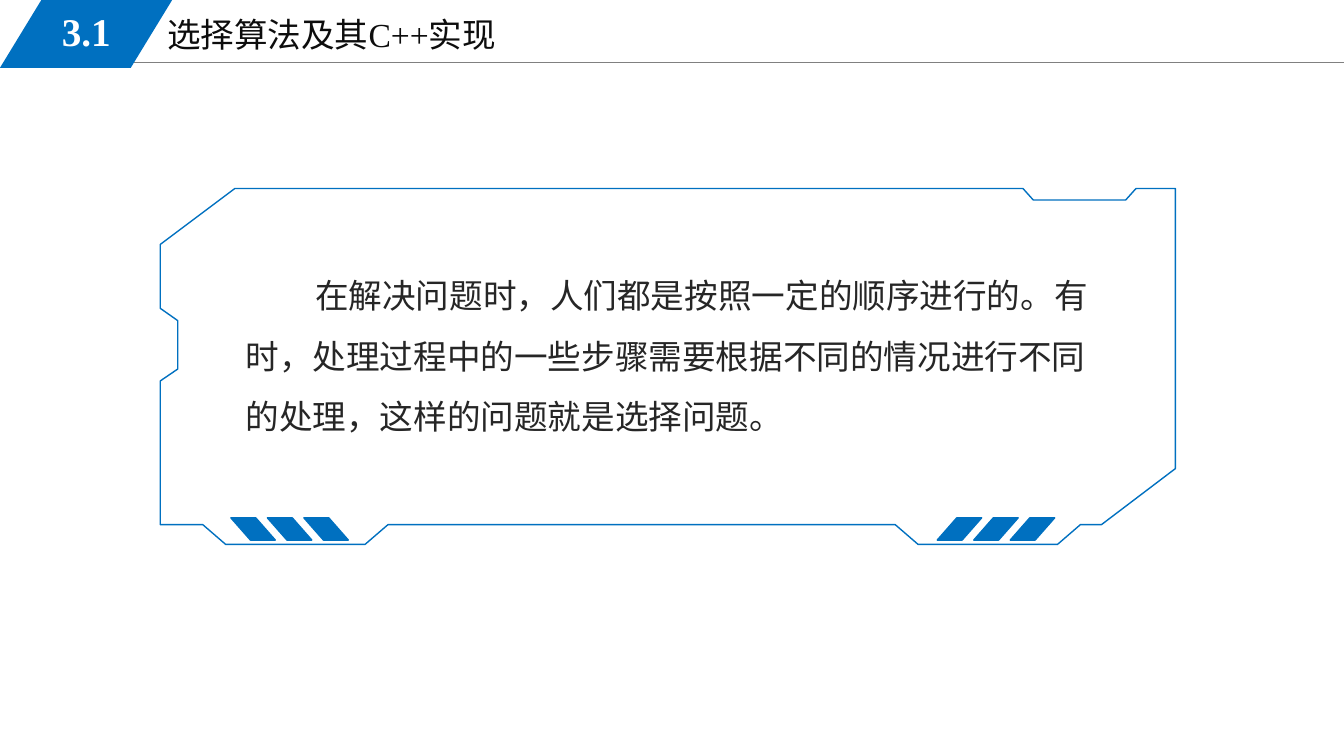
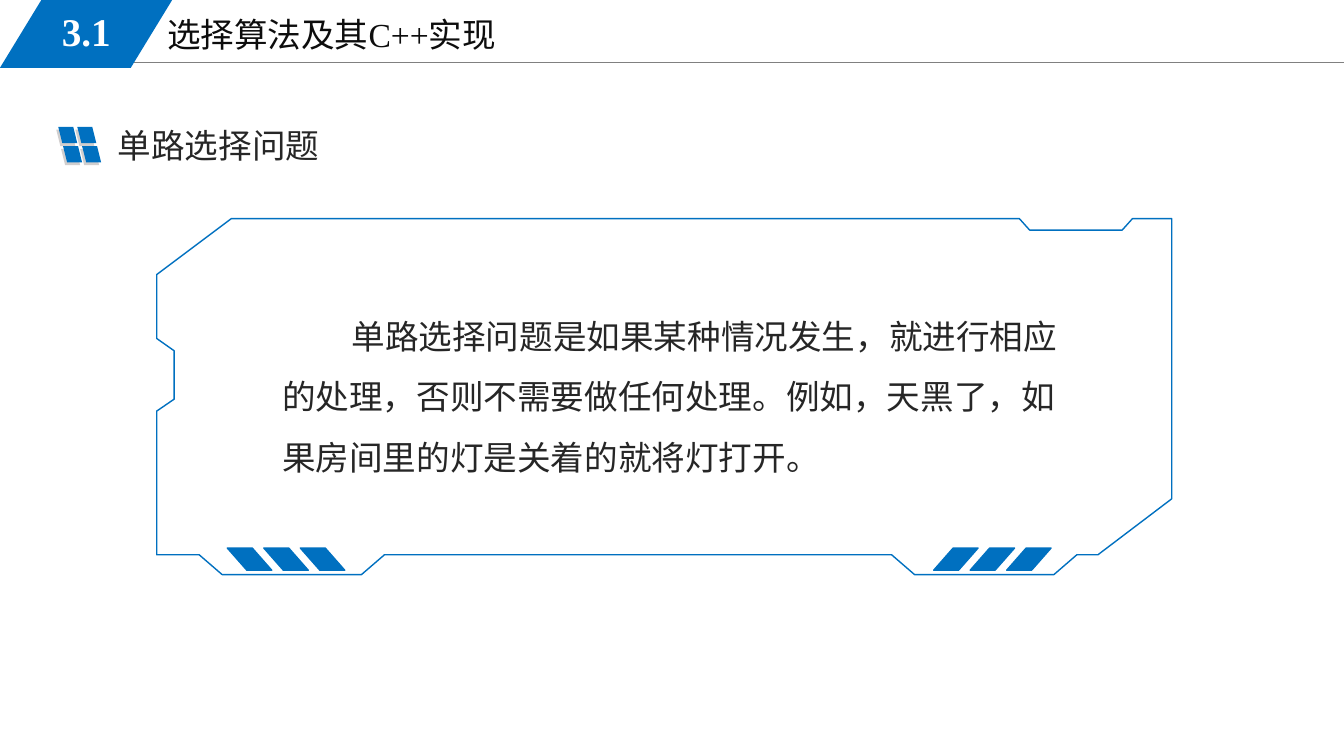
import lxml.etree
import pptx
import pptx.dml.color
import pptx.enum.shapes
import pptx.enum.text
import pptx.oxml.ns
import pptx.util

Cm = pptx.util.Cm
Pt = pptx.util.Pt
qn = pptx.oxml.ns.qn
PARALLELOGRAM = pptx.enum.shapes.MSO_SHAPE.PARALLELOGRAM

BLUE = "0070C0"
RULE_GREY = "808080"
PANE_GREY = "D0CECE"
TITLE_INK = "0D0D0D"
BODY_INK = "262626"
WHITE = "FFFFFF"
LATIN = "Times New Roman"
CHINESE = "Noto Sans CJK SC"
SLIDE_WIDTH, SLIDE_HEIGHT = 33.87, 19.05


def rgb(hex_colour):
    """Turn a hex string into a colour."""
    return pptx.dml.color.RGBColor.from_string(hex_colour)


def add_text(shapes, box, words, size, ink, typeface, bold=False, align=None,
             anchor=None, indent=0, line_spacing=None):
    """Place a wrapped text box holding one paragraph."""
    label = shapes.add_textbox(*map(Cm, box))
    frame = label.text_frame
    frame.word_wrap = True
    frame.auto_size = pptx.enum.text.MSO_AUTO_SIZE.SHAPE_TO_FIT_TEXT
    if anchor is not None:
        frame.vertical_anchor = anchor
    paragraph = frame.paragraphs[0]
    paragraph.text = words
    if align is not None:
        paragraph.alignment = align
    if line_spacing:
        paragraph.line_spacing = line_spacing
    if indent:
        properties = paragraph._p.get_or_add_pPr()
        properties.set("marL", "0")
        properties.set("indent", str(Cm(indent)))
    font = paragraph.font
    font.size = Pt(size)
    font.bold = bold
    font.color.rgb = rgb(ink)
    font.name = typeface
    east_asian = lxml.etree.SubElement(font._element, qn("a:ea"))
    east_asian.set("typeface", CHINESE)


def add_slant(shapes, box, colour, lean=0.25, mirrored=False, outlined=False):
    """Place a filled parallelogram, leaning left when mirrored."""
    slant = shapes.add_shape(PARALLELOGRAM, *map(Cm, box))
    slant.adjustments[0] = lean
    slant.shadow.inherit = False
    slant.fill.solid()
    slant.fill.fore_color.rgb = rgb(colour)
    if outlined:
        slant.line.color.rgb = rgb(colour)
        slant.line.width = Pt(1)
    else:
        slant.line.fill.background()
    if mirrored:
        slant._element.spPr.find(qn("a:xfrm")).set("flipH", "1")


def add_header(slide, number, title):
    """Draw the rule, the section title and the numbered tag."""
    rule = slide.shapes.add_connector(
        pptx.enum.shapes.MSO_CONNECTOR.STRAIGHT,
        Cm(2.87), Cm(1.57), Cm(SLIDE_WIDTH), Cm(1.57))
    rule.line.color.rgb = rgb(RULE_GREY)
    rule.line.width = Pt(0.75)
    lxml.etree.SubElement(rule._element.spPr, qn("a:effectLst"))
    add_text(slide.shapes, (3.96, 0.23, 14.4, 1.3), title, 24, TITLE_INK, LATIN)
    add_slant(slide.shapes, (0, 0, 4.34, 1.71), BLUE, lean=0.61)
    add_text(slide.shapes, (0.64, 0.05, 3.07, 1.47), number, 28, WHITE, LATIN,
             bold=True, align=pptx.enum.text.PP_ALIGN.CENTER,
             anchor=pptx.enum.text.MSO_ANCHOR.MIDDLE)


def add_heading(slide, left, top, words):
    """Draw a four-pane window icon with its heading."""
    shapes = slide.shapes.add_group_shape().shapes
    for colour, shift_x, shift_y in ((PANE_GREY, 0, 0.25), (BLUE, 0.05, 0.18)):
        for column in range(2):
            for row in range(2):
                x = left + shift_x + 0.48 * column + 0.12 * row
                y = top + shift_y + 0.48 * row
                add_slant(shapes, (x, y, 0.48, 0.41), colour, mirrored=True)
    add_text(shapes, (left + 1.3, top, 6.93, 1.27), words, 24, BODY_INK, CHINESE)


def add_frame(slide, left, top, width=25.58, height=8.97):
    """Draw the notched outline with three stripes in each lower tab."""
    shapes = slide.shapes.add_group_shape().shapes
    floor = height - 0.5
    outline = [
        (1.88, 0), (width - 3.84, 0), (width - 3.58, 0.29),
        (width - 1.25, 0.29), (width - 0.99, 0), (width, 0),
        (width, floor - 1.41), (width - 1.86, floor), (width - 2.39, floor),
        (width - 2.97, height), (width - 6.48, height), (width - 7.06, floor),
        (5.74, floor), (5.16, height), (1.65, height), (1.07, floor),
        (0, floor), (0, 4.85), (0.44, 4.55), (0.44, 3.33), (0, 3.02), (0, 1.41),
    ]
    corners = [(Cm(left + x), Cm(top + y)) for x, y in outline]
    builder = shapes.build_freeform(*corners[0])
    builder.add_line_segments(corners[1:], close=True)
    border = builder.convert_to_shape()
    border.shadow.inherit = False
    border.fill.background()
    border.line.color.rgb = rgb(BLUE)
    border.line.width = Pt(1)
    for start, mirrored in ((1.78, True), (width - 6, False)):
        for index in range(3):
            box = (left + start + 0.92 * index, top + height - 0.67, 1.12, 0.56)
            add_slant(shapes, box, BLUE, lean=0.88, mirrored=mirrored, outlined=True)


def add_statement_slide(deck, frame_at, body_box, body, heading=None):
    """Build a slide with a framed statement and an optional heading."""
    slide = deck.slides.add_slide(deck.slide_layouts[6])
    add_header(slide, "3.1", "选择算法及其C++实现")
    if heading:
        add_heading(slide, 1.42, 3.02, heading)
    add_frame(slide, *frame_at)
    add_text(slide.shapes, body_box, body, 24, BODY_INK, CHINESE,
             indent=1.75, line_spacing=1.5)


def main():
    """Build and save the deck."""
    deck = pptx.Presentation()
    deck.slide_width = Cm(SLIDE_WIDTH)
    deck.slide_height = Cm(SLIDE_HEIGHT)
    add_statement_slide(
        deck, (4.04, 4.75), (5.94, 6.3, 21.97, 4.7),
        "在解决问题时，人们都是按照一定的顺序进行的。有时，处理过程中的一些步骤"
        "需要根据不同的情况进行不同的处理，这样的问题就是选择问题。")
    add_statement_slide(
        deck, (3.95, 5.51), (6.86, 7.32, 20.37, 4.7),
        "单路选择问题是如果某种情况发生，就进行相应的处理，否则不需要做任何处理。"
        "例如，天黑了，如果房间里的灯是关着的就将灯打开。",
        heading="单路选择问题")
    deck.save("out.pptx")


if __name__ == "__main__":
    main()
